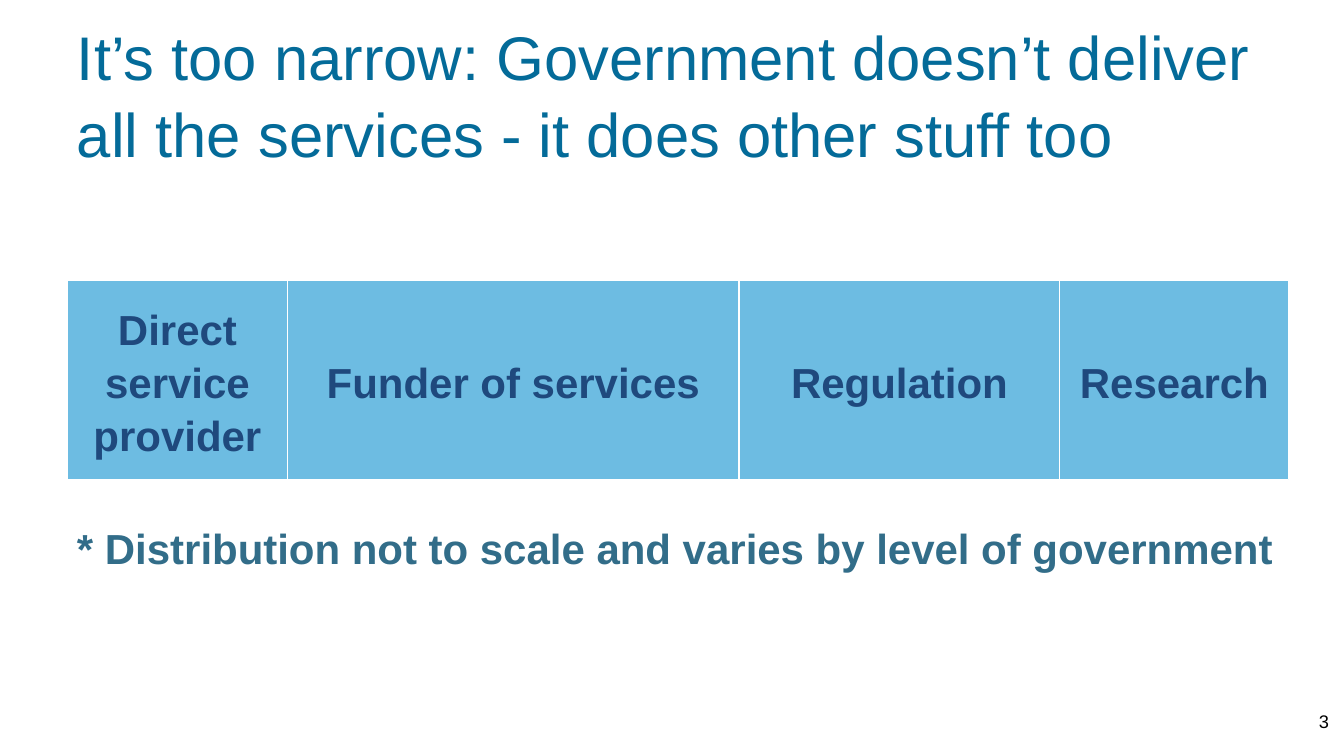
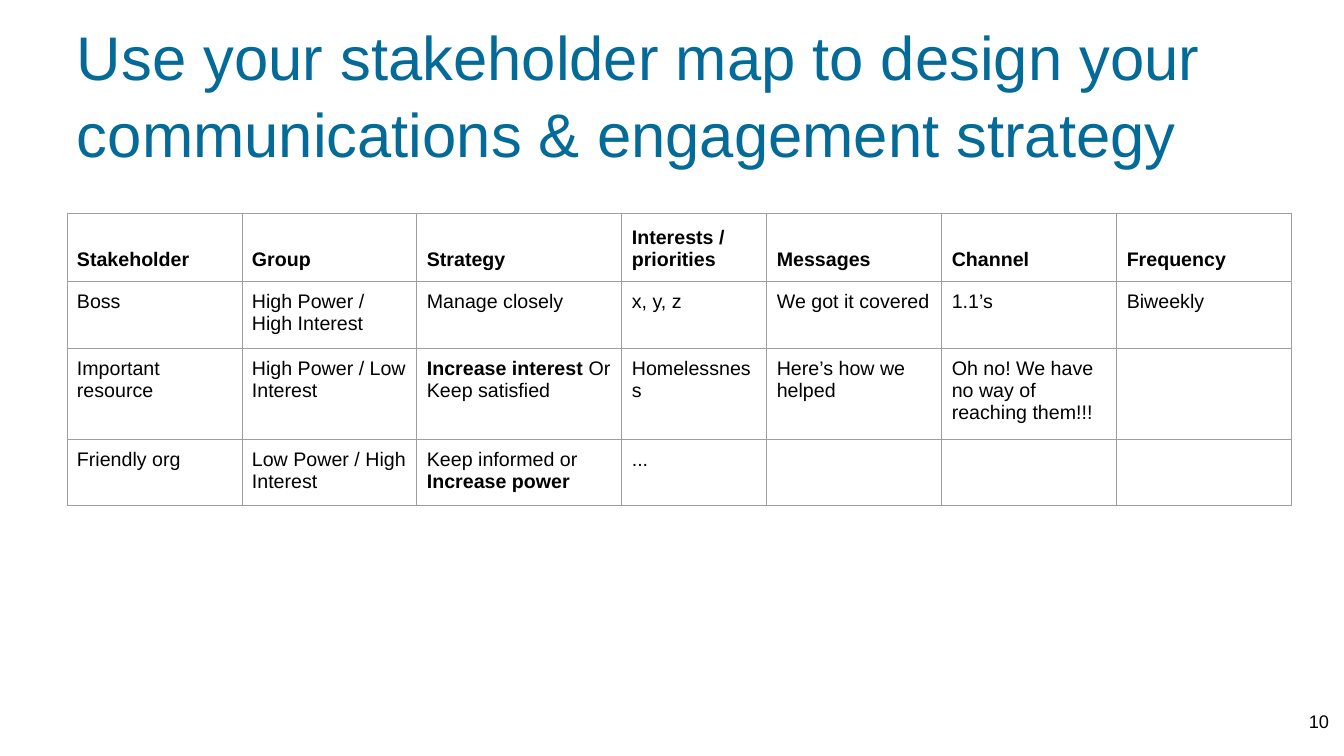
from pptx import Presentation
from pptx import util as u
from pptx.dml.color import RGBColor
from pptx.enum import shapes, text
from pptx.oxml import parse_xml
from pptx.oxml.ns import nsdecls

PX = 12192000 / 1344
LEFT = 67
TITLE, SKY, NAVY, TEAL = "046B99", "6DBCE2", "1F497D", "326D89"
BLACK, WHITE, GREY = "000000", "FFFFFF", "9E9E9E"


def px(*vals):
    return [u.Emu(round(v * PX)) for v in vals]


def write(frame, words, size, color, bold=False, align="LEFT", anchor="TOP", pad=10, lead=1.05):
    frame.word_wrap = True
    frame.auto_size = text.MSO_AUTO_SIZE.NONE
    frame.vertical_anchor = text.MSO_ANCHOR[anchor]
    frame.margin_left, frame.margin_right = px(10, 10)
    frame.margin_top, frame.margin_bottom = px(pad, pad)
    para = frame.paragraphs[0]
    para.alignment = text.PP_ALIGN[align]
    para.line_spacing = lead
    para.font.name = "Arial"
    para.font.size = u.Pt(size)
    para.font.bold = bold
    para.font.color.rgb = RGBColor.from_string(color)
    for i, part in enumerate(words.split("*") if lead == 1 else [words]):
        if part:
            run = para.add_run()
            run.text = part
            if i % 2:
                run.font.bold = True


deck = Presentation()
deck.slide_width, deck.slide_height = px(1344, 756)

pages = []
for head, num in [
    ("It’s too narrow: Government doesn’t deliver all the services - it does other stuff too", "3"),
    ("Use your stakeholder map to design your communications & engagement strategy", "10"),
]:
    page = deck.slides.add_slide(deck.slide_layouts[5])
    title = page.shapes.title
    title.left, title.top, title.width, title.height = px(LEFT, 29, 1210, 127)
    write(title.text_frame, head, 44, TITLE, anchor="MIDDLE", pad=5)
    foot = page.shapes.add_textbox(*px(1258, 699, 81, 57))
    write(foot.text_frame, num, 13, BLACK, align="RIGHT")
    pages.append(page)
roles, plan = pages

x = LEFT
for label, wide in [
    ("Direct service provider", 221),
    ("Funder of services", 451),
    ("Regulation", 321),
    ("Research", 229),
]:
    box = roles.shapes.add_shape(shapes.MSO_SHAPE.FLOWCHART_PROCESS, *px(x, 281, wide, 199))
    box.shadow.inherit = False
    box.fill.solid()
    box.fill.fore_color.rgb = RGBColor.from_string(SKY)
    box.line.color.rgb = RGBColor.from_string(WHITE)
    box.line.width = u.Pt(0.75)
    write(box.text_frame, label, 30, NAVY, True, "CENTER", "MIDDLE")
    x += wide

note = roles.shapes.add_textbox(*px(LEFT, 510, 1264, 99))
write(note.text_frame, "* Distribution not to scale and varies by level of government", 30, TEAL, True)

rows = [
    ["Stakeholder", "Group", "Strategy", "Interests / priorities", "Messages", "Channel", "Frequency"],
    ["Boss", "High Power / High Interest", "Manage closely", "x, y, z", "We got it covered", "1.1’s", "Biweekly"],
    ["Important resource", "High Power / Low Interest", "*Increase interest *Or Keep satisfied",
     "Homelessness", "Here’s how we helped", "Oh no! We have no way of reaching them!!!", ""],
    ["Friendly org", "Low Power / High Interest", "Keep informed or *Increase power*", "...", "", "", ""],
]
wides = [175, 175, 205, 145, 175, 175, 175]
highs = [68, 67, 91, 67]
grid = plan.shapes.add_table(len(rows), len(wides), *px(LEFT, 213, sum(wides), sum(highs))).table
for col, wide in zip(grid.columns, px(*wides)):
    col.width = wide
for row, high in zip(grid.rows, px(*highs)):
    row.height = high
for r, row in enumerate(rows):
    for c, words in enumerate(row):
        cell = grid.cell(r, c)
        write(cell.text_frame, words, 14, BLACK, r == 0, lead=1)
        cell.vertical_anchor = text.MSO_ANCHOR.BOTTOM if r == 0 else text.MSO_ANCHOR.TOP
        cell.margin_left, cell.margin_right, cell.margin_top, cell.margin_bottom = px(10, 10, 10, 10)
        cell.fill.background()
        props = cell._tc.get_or_add_tcPr()
        for i, side in enumerate(["lnL", "lnR", "lnT", "lnB"]):
            props.insert(i, parse_xml(
                f'<a:{side} {nsdecls("a")} w="9525"><a:solidFill>'
                f'<a:srgbClr val="{GREY}"/></a:solidFill></a:{side}>'))

deck.save("out.pptx")
